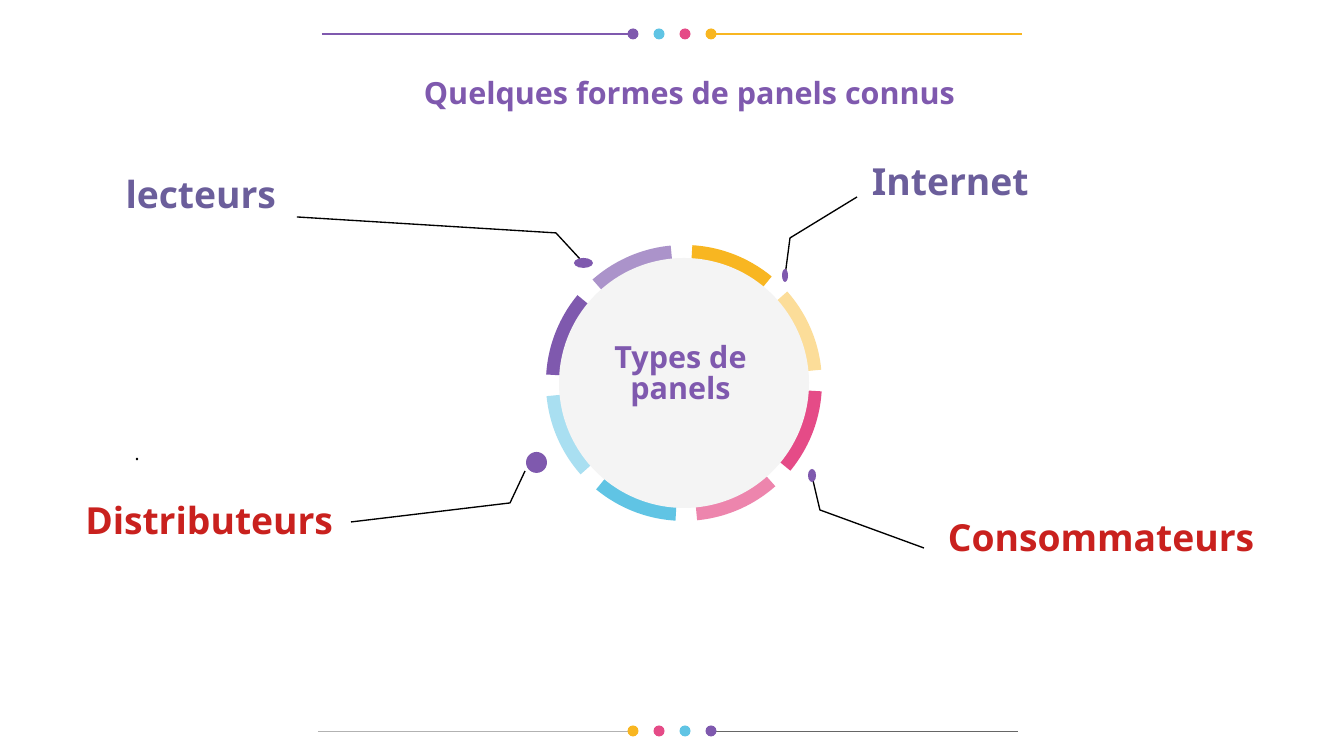
import pptx
import pptx.util
import pptx.dml.color
import pptx.enum.shapes
import pptx.enum.text
import pptx.oxml.ns
import lxml.etree

RGB = pptx.dml.color.RGBColor
SHAPE = pptx.enum.shapes.MSO_SHAPE
ALIGN = pptx.enum.text.PP_ALIGN
ANCHOR = pptx.enum.text.MSO_ANCHOR

PURPLE = RGB(0x7F, 0x59, 0xAE)
LILAC = RGB(0xAB, 0x93, 0xCA)
GOLD = RGB(0xF8, 0xB6, 0x21)
CREAM = RGB(0xFC, 0xDD, 0x99)
PINK = RGB(0xE5, 0x4B, 0x87)
ROSE = RGB(0xED, 0x85, 0xAD)
BLUE = RGB(0x60, 0xC4, 0xE4)
SKY = RGB(0xA9, 0xDF, 0xF1)
PALE = RGB(0xF4, 0xF4, 0xF4)
SLATE = RGB(0x6B, 0x5E, 0x9B)
RED = RGB(0xC9, 0x21, 0x1E)
SILVER = RGB(0xB2, 0xB2, 0xB2)
GRAY = RGB(0x66, 0x66, 0x66)
BLACK = RGB(0, 0, 0)

PX = 7495
FONT = "Noto Sans"

TITLE = ("Quelques formes de panels connus", (325, 49, 630, 87), 18, PURPLE, ALIGN.RIGHT)
LABELS = [
    ("Types de panels", (584, 331, 193, 87), 18, PURPLE, ALIGN.CENTER),
    ("lecteurs", (83, 150, 193, 87), 22, SLATE, ALIGN.RIGHT),
    ("Distributeurs", (54, 476, 279, 87), 22, RED, ALIGN.RIGHT),
    ("Internet", (872, 137, 193, 87), 22, SLATE, ALIGN.LEFT),
    ("Consommateurs", (948, 486, 354, 101), 22, RED, ALIGN.LEFT),
]
POINT = (".", (107, 442, 60, 30), 11, BLACK, ALIGN.CENTER)

RULES = [
    (34, (322, 1022), (PURPLE, GOLD), 0.82, [PURPLE, BLUE, PINK, GOLD]),
    (731, (318, 1018), (SILVER, GRAY), 0.5, [GOLD, PINK, BLUE, PURPLE]),
]
DOT_X = [633, 659, 685, 711]
DOT = 11

RING = [GOLD, CREAM, PINK, ROSE, BLUE, SKY, PURPLE, LILAC]
HUB = (546, 245, 276, 276)
EDGE = 14
START, SWEEP = 273.5, 36

LEADERS = [
    ([(525, 471), (510, 503), (351, 522)], (526, 452, 21, 21)),
    ([(812, 476), (820, 510), (924, 548)], (808, 469, 8, 13)),
    ([(785, 276), (790, 238), (857, 197)], (782, 269, 6, 13)),
    ([(580, 259), (556, 233), (297, 217)], (574, 258, 19, 10)),
]

deck = pptx.Presentation()
deck.slide_width, deck.slide_height = 1344 * PX, 756 * PX
slide = deck.slides.add_slide(deck.slide_layouts[5])
shapes = slide.shapes


def scale(box):
    return [n * PX for n in box]


def add_solid(kind, box, color):
    shape = shapes.add_shape(kind, *scale(box))
    shape.shadow.inherit = False
    shape.fill.solid()
    shape.fill.fore_color.rgb = color
    shape.line.fill.background()
    return shape


def add_rule(x1, x2, y, color, width):
    line = shapes.add_connector(
        pptx.enum.shapes.MSO_CONNECTOR.STRAIGHT, *scale((x1, y, x2, y)))
    line.line.color.rgb = color
    line.line.width = pptx.util.Pt(width)
    lxml.etree.SubElement(line._element.spPr, pptx.oxml.ns.qn("a:effectLst"))


def add_leader(points):
    form = shapes.build_freeform(*points[0], scale=PX)
    form.add_line_segments(points[1:], close=False)
    line = form.convert_to_shape()
    line.shadow.inherit = False
    line.fill.background()
    line.line.color.rgb = BLACK
    line.line.width = pptx.util.Pt(0.79)


def set_text(shape, label, anchor=ANCHOR.MIDDLE):
    text, box, size, color, align = label
    shape.left, shape.top, shape.width, shape.height = scale(box)
    frame = shape.text_frame
    frame.text = text
    frame.word_wrap = True
    frame.auto_size = pptx.enum.text.MSO_AUTO_SIZE.NONE
    frame.vertical_anchor = anchor
    frame.margin_left = frame.margin_right = 0
    frame.margin_top = frame.margin_bottom = 0
    para = frame.paragraphs[0]
    para.alignment = align
    para.font.name = FONT
    para.font.size = pptx.util.Pt(size)
    para.font.bold = anchor == ANCHOR.MIDDLE
    para.font.color.rgb = color
    return para


set_text(shapes.title, TITLE)

for y, (left, right), (first, last), width, dots in RULES:
    add_rule(left, DOT_X[0], y, first, width)
    add_rule(DOT_X[-1], right, y, last, width)
    for x, color in zip(DOT_X, dots):
        add_solid(SHAPE.OVAL, (x - DOT / 2, y - DOT / 2, DOT, DOT), color)

for i, color in enumerate(RING):
    arc = add_solid(SHAPE.BLOCK_ARC, HUB, color)
    angle = (START + i * 360 / len(RING)) % 360
    arc.adjustments[0] = angle * 0.6
    arc.adjustments[1] = (angle + SWEEP) % 360 * 0.6
    arc.adjustments[2] = EDGE / HUB[2]

x, y, w, h = HUB
inset = EDGE - 1
add_solid(SHAPE.OVAL, (x + inset, y + inset, w - 2 * inset, h - 2 * inset), PALE)

for points, dot in LEADERS:
    add_leader(points)
    add_solid(SHAPE.OVAL, dot, PURPLE)

paras = [set_text(shapes.add_textbox(0, 0, 0, 0), label) for label in LABELS]
paras[0].line_spacing = 0.87
set_text(shapes.add_textbox(0, 0, 0, 0), POINT, ANCHOR.TOP)

deck.save("out.pptx")
